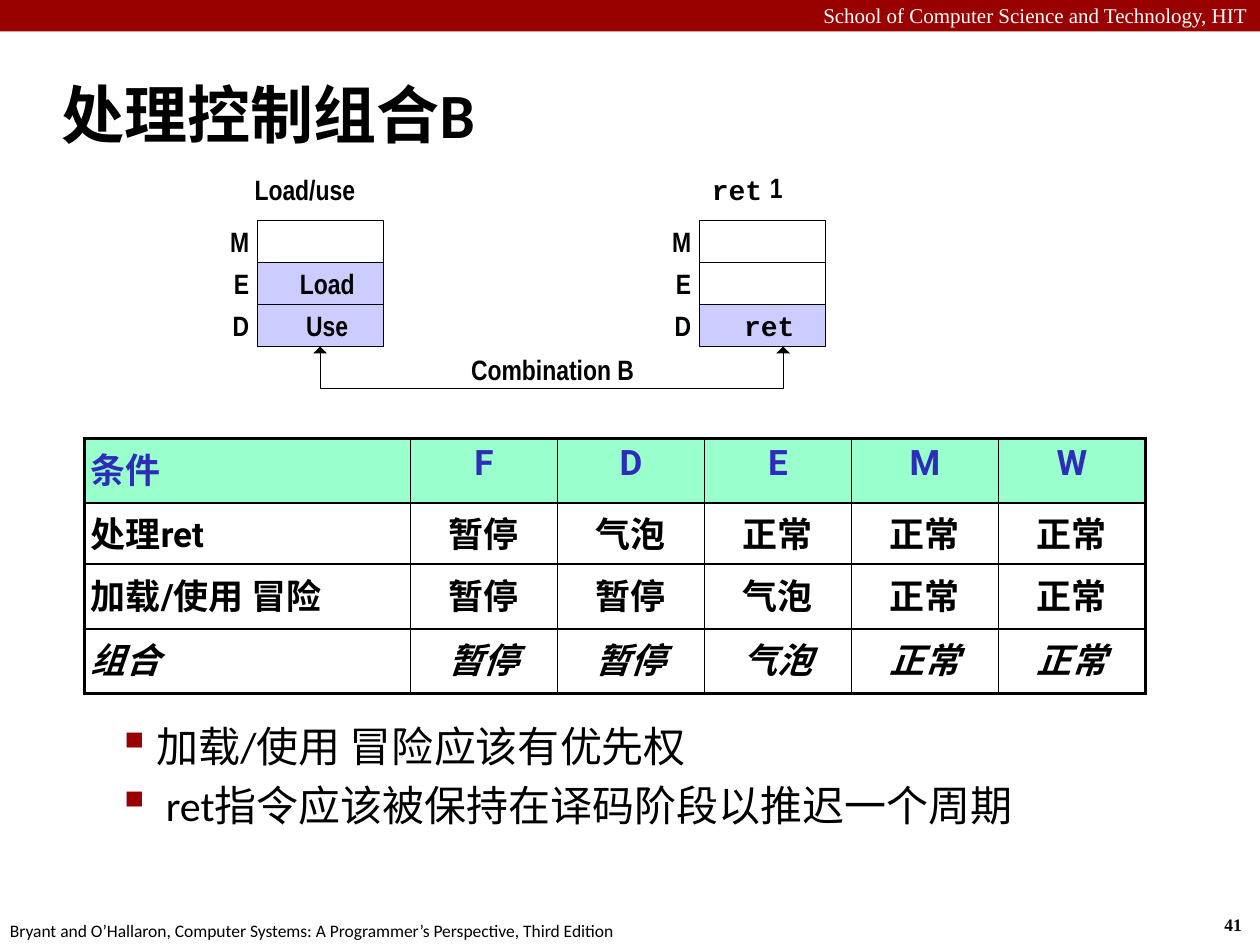
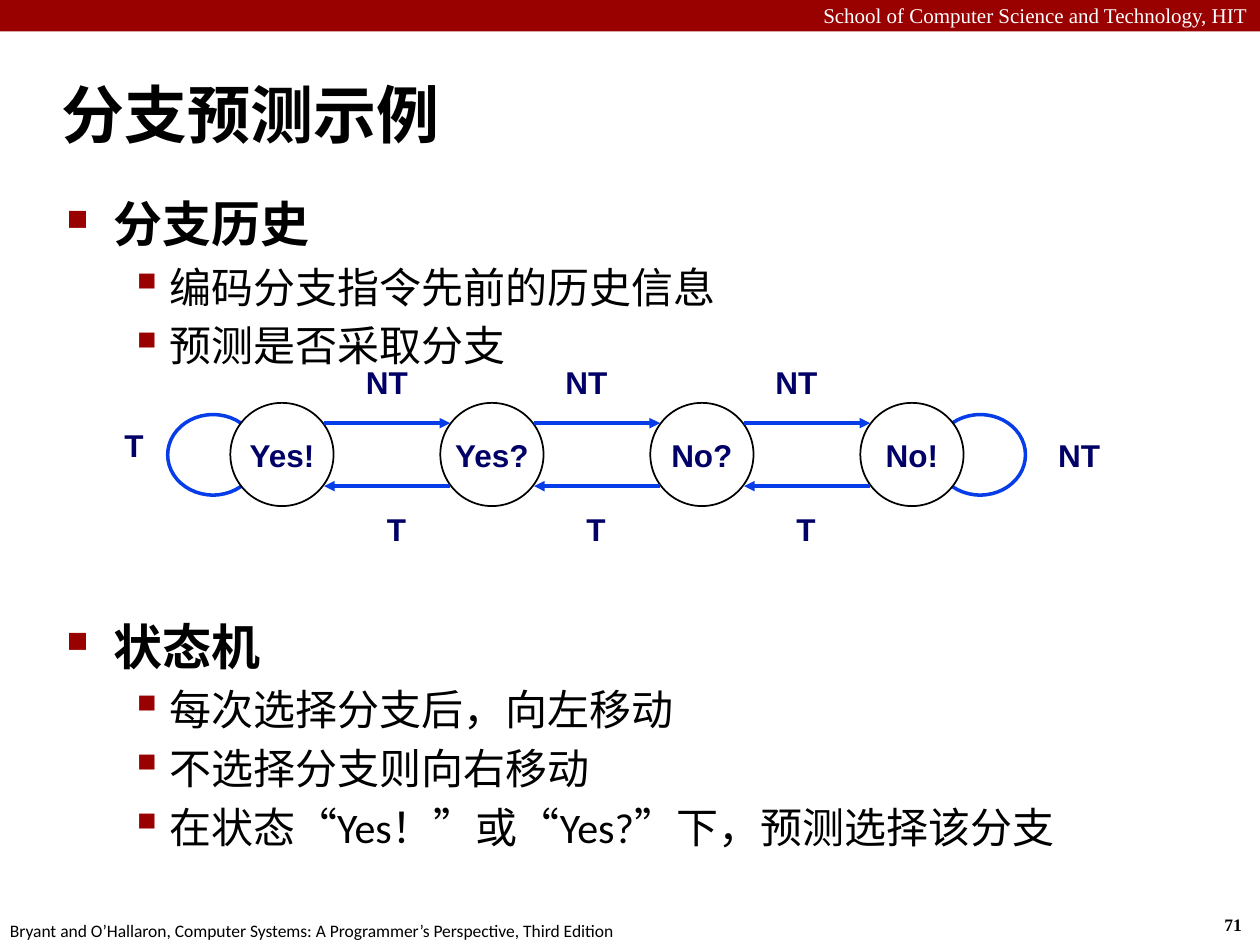
from lxml import etree
from pptx import Presentation
from pptx import util as u
from pptx.dml.color import RGBColor
from pptx.enum import shapes, text
from pptx.oxml import parse_xml
from pptx.oxml.ns import nsdecls, qn

BLACK = RGBColor(0x00, 0x00, 0x00)
WHITE = RGBColor(0xFF, 0xFF, 0xFF)
CRIMSON = RGBColor(0x99, 0x00, 0x00)
LAVENDER = RGBColor(0xCC, 0xCC, 0xFF)
MINT = RGBColor(0x99, 0xFF, 0xCC)
HEADER_BLUE = RGBColor(0x2D, 0x2D, 0xB9)
NAVY = RGBColor(0x00, 0x00, 0x66)
ARROW_BLUE = RGBColor(0x06, 0x3D, 0xE8)

LEFT, CENTER, RIGHT = text.PP_ALIGN.LEFT, text.PP_ALIGN.CENTER, text.PP_ALIGN.RIGHT
MIDDLE = text.MSO_ANCHOR.MIDDLE
SCHOOL = "School of Computer Science and Technology, HIT"
BOOK = "Bryant and O’Hallaron, Computer Systems: A Programmer’s Perspective, Third Edition"

# Bullet levels: character, size in percent, left margin, font size, bold
BULLETS = [("■", 60, 27, 28, True), ("▪", 110, 58.5, 24, False)]
HANGING = [27, 22.5]


class Deck:
    def __init__(self):
        self.presentation = Presentation()
        self.presentation.slide_width = u.Pt(720)
        self.presentation.slide_height = u.Pt(540)
        self.slide = None

    def new_slide(self, title, number):
        layout = self.presentation.slide_layouts[5]
        self.slide = self.presentation.slides.add_slide(layout)
        self.shape(shapes.MSO_SHAPE.RECTANGLE, 0, 0, 720, 18, fill=CRIMSON)
        self.label(SCHOOL, 0, -2, 720, 21.6, "Times New Roman", 12, WHITE, align=RIGHT)
        self.label(number, 692.6, 519, 26.6, 19.4, "Times New Roman", 10, bold=True)
        self.label(BOOK, -1.4, 522, 366, 19.4, "Calibri", 10)

        placeholder = self.slide.shapes.title
        placeholder.left, placeholder.top = u.Pt(28), u.Pt(34.6)
        placeholder.width, placeholder.height = u.Pt(692), u.Pt(60)
        frame = placeholder.text_frame
        frame.auto_size = text.MSO_AUTO_SIZE.NONE
        frame.vertical_anchor = MIDDLE
        self.add_words(frame.paragraphs[0], title, "Calibri", 36, BLACK, True)

    def add_words(self, paragraph, words, font, size, color, bold=False, italic=False,
                  align=LEFT, spacing=None):
        paragraph.alignment = align
        if spacing:
            paragraph.line_spacing = spacing
        run = paragraph.add_run()
        run.text = words
        run.font.name, run.font.size = font, u.Pt(size)
        run.font.bold, run.font.italic = bold, italic
        run.font.color.rgb = color

    def label(self, words, left, top, width, height, font, size, color=BLACK,
              bold=False, align=LEFT, inset=True, spacing=None):
        box = self.slide.shapes.add_textbox(
            u.Pt(left), u.Pt(top), u.Pt(width), u.Pt(height))
        frame = box.text_frame
        frame.word_wrap = False
        if not inset:
            self.set_margins(frame, 0)
        self.add_words(frame.paragraphs[0], words, font, size, color, bold,
                       align=align, spacing=spacing)

    def stage_label(self, words, left, top, width, align=CENTER, font="Arial Narrow"):
        self.label(words, left, top, width, 17.3, font, 16, bold=True,
                   align=align, inset=False, spacing=0.9)

    def branch_label(self, words, left, top):
        self.label(words, left, top, 25 if words == "T" else 39, 29,
                   "Arial", 18, NAVY, True)

    def set_margins(self, holder, margin):
        holder.margin_left = holder.margin_right = u.Pt(margin)
        holder.margin_top = holder.margin_bottom = u.Pt(margin)

    def paint(self, shape, fill, line, weight):
        shape.shadow.inherit = False
        if fill is None:
            shape.fill.background()
        else:
            shape.fill.solid()
            shape.fill.fore_color.rgb = fill
        if line is None:
            shape.line.fill.background()
        else:
            shape.line.color.rgb = line
            shape.line.width = u.Pt(weight)

    def shape(self, kind, left, top, width, height, fill=None, line=None, weight=1):
        shape = self.slide.shapes.add_shape(
            kind, u.Pt(left), u.Pt(top), u.Pt(width), u.Pt(height))
        self.paint(shape, fill, line, weight)
        return shape

    def shape_text(self, shape, words, font, size, color, shift=0):
        """Centre words in a shape, moved right by half of shift."""
        frame = shape.text_frame
        frame.word_wrap = False
        frame.vertical_anchor = MIDDLE
        self.set_margins(frame, 0)
        frame.margin_left = u.Pt(shift)
        self.add_words(frame.paragraphs[0], words, font, size, color, True, align=CENTER)

    def polyline(self, points, line, weight):
        points = [(u.Pt(x), u.Pt(y)) for x, y in points]
        builder = self.slide.shapes.build_freeform(*points[0])
        builder.add_line_segments(points[1:], close=False)
        self.paint(builder.convert_to_shape(), None, line, weight)

    def arrow(self, start, end, y):
        connector = self.slide.shapes.add_connector(
            shapes.MSO_CONNECTOR.STRAIGHT, u.Pt(start), u.Pt(y), u.Pt(end), u.Pt(y))
        connector.line.color.rgb = ARROW_BLUE
        connector.line.width = u.Pt(2)
        properties = connector._element.spPr
        line = properties.find(qn("a:ln"))
        etree.SubElement(line, qn("a:tailEnd"), type="triangle")
        etree.SubElement(properties, qn("a:effectLst"))

    def bullets(self, items, left, top, width, height):
        """Add (level, words) items as a bulleted list."""
        box = self.slide.shapes.add_textbox(
            u.Pt(left), u.Pt(top), u.Pt(width), u.Pt(height))
        frame = box.text_frame
        frame.word_wrap = True
        for index, (level, words) in enumerate(items):
            paragraph = frame.add_paragraph() if index else frame.paragraphs[0]
            character, percent, margin, size, bold = BULLETS[level]
            paragraph.level = level
            paragraph.space_before = u.Pt(0.2 * size)
            self.add_words(paragraph, words, "Calibri", size, BLACK, bold)
            properties = paragraph._p.get_or_add_pPr()
            properties.set("marL", str(u.Pt(margin)))
            properties.set("indent", str(-u.Pt(HANGING[level])))
            color = etree.SubElement(properties, qn("a:buClr"))
            etree.SubElement(color, qn("a:srgbClr"), val=str(CRIMSON))
            etree.SubElement(properties, qn("a:buSzPct"), val=str(percent * 1000))
            etree.SubElement(properties, qn("a:buChar"), char=character)

    def table(self, rows, left, top, widths, heights):
        table = self.slide.shapes.add_table(
            len(rows), len(widths), u.Pt(left), u.Pt(top),
            u.Pt(sum(widths)), u.Pt(sum(heights))).table
        table.first_row = table.horz_banding = False
        for column, width in zip(table.columns, widths):
            column.width = u.Pt(width)
        last_row, last_column = len(rows) - 1, len(widths) - 1
        for r, (row, height) in enumerate(zip(rows, heights)):
            table.rows[r].height = u.Pt(height)
            for c, words in enumerate(row):
                cell = table.cell(r, c)
                self.set_margins(cell, 3.6)
                self.add_words(cell.text_frame.paragraphs[0], words, "Roboto", 20,
                               BLACK if r else HEADER_BLUE, True, r == last_row,
                               CENTER if c else LEFT, 0.95)
                if r:
                    cell.fill.background()
                else:
                    cell.fill.solid()
                    cell.fill.fore_color.rgb = MINT
                self.borders(cell, L=c == 0, R=c == last_column,
                             T=r == 0, B=r == last_row)

    def borders(self, cell, **outer_sides):
        """Draw four borders, thick on the sides given as True."""
        properties = cell._tc.get_or_add_tcPr()
        for index, (side, outer) in enumerate(outer_sides.items()):
            weight = u.Pt(2.25 if outer else 1)
            properties.insert(index, parse_xml(
                f'<a:ln{side} {nsdecls("a")} w="{weight}"><a:solidFill>'
                f'<a:srgbClr val="{BLACK}"/></a:solidFill></a:ln{side}>'))

    def pipeline(self, left, contents):
        """Stack the M, E and D stages; a stage with contents is shaded."""
        for index, stage in enumerate("MED"):
            top = 126 + 24 * index
            words, font = contents.get(stage, (None, None))
            slot = self.shape(shapes.MSO_SHAPE.RECTANGLE, left, top, 72, 24,
                              LAVENDER if words else WHITE, BLACK, 0.75)
            if words:
                self.shape_text(slot, words, font, 16, BLACK, shift=8)
            self.stage_label(stage, left - 16, top + 4.6, 11.4, RIGHT)


def combination_slide(deck):
    deck.new_slide("处理控制组合B", "41")
    deck.bullets([(1, "加载/使用 冒险应该有优先权"),
                  (1, " ret指令应该被保持在译码阶段以推迟一个周期")],
                 23.8, 408.2, 662.4, 116.6)

    load_left, ret_left = 147, 399.6
    deck.pipeline(load_left, {"E": ("Load", "Arial Narrow"), "D": ("Use", "Arial Narrow")})
    deck.pipeline(ret_left, {"D": ("ret", "Courier New")})
    deck.stage_label("Load/use", 145.4, 100.8, 57.6)
    deck.stage_label("ret", 406.8, 100.8, 28.8, font="Courier New")
    deck.stage_label("1", 440, 99.4, 7)
    deck.stage_label("Combination B", 268.6, 203.8, 94.3)

    ends = (load_left + 36, ret_left + 48)
    deck.polyline([(ends[0], 201.6), (ends[0], 222), (ends[1], 222), (ends[1], 201.6)],
                  BLACK, 0.75)
    for x in ends:
        deck.shape(shapes.MSO_SHAPE.ISOSCELES_TRIANGLE, x - 4, 198, 8, 4, BLACK)

    deck.table([["条件", "F", "D", "E", "M", "W"],
                ["处理ret", "暂停", "气泡", "正常", "正常", "正常"],
                ["加载/使用 冒险", "暂停", "暂停", "气泡", "正常", "正常"],
                ["组合", "暂停", "暂停", "气泡", "正常", "正常"]],
               48.2, 250.4, [186.4] + [84] * 5, [37, 35, 37, 37])


def prediction_slide(deck):
    deck.new_slide("分支预测示例", "71")
    deck.bullets([(0, "分支历史"), (1, "编码分支指令先前的历史信息"),
                  (1, "预测是否采取分支")], 31, 107.3, 677, 115)
    deck.bullets([(0, "状态机"), (1, "每次选择分支后，向左移动"),
                  (1, "不选择分支则向右移动"),
                  (1, "在状态“Yes！”或“Yes?”下，预测选择该分支")],
                 31, 348.6, 677, 150)

    oval = shapes.MSO_SHAPE.OVAL
    for loop_left in (95.8, 534.2):
        deck.shape(oval, loop_left, 236.9, 51.8, 46, line=ARROW_BLUE, weight=2)
    first, step = 131.6, 120
    for index, state in enumerate(["Yes!", "Yes?", "No?", "No!"]):
        circle = deck.shape(oval, first + step * index, 230.2, 59, 59, WHITE, BLACK)
        deck.shape_text(circle, state, "Arial", 18, NAVY)
    for index, label_left in enumerate((214, 328, 448)):
        start = first + step * index + 53.6
        deck.arrow(start, start + 72, 241.8)
        deck.arrow(start + 72, start, 277.8)
        deck.branch_label("NT", label_left - 12, 204)
        deck.branch_label("T", label_left, 288)
    deck.branch_label("T", 64, 240)
    deck.branch_label("NT", 597.6, 245.6)


def main():
    deck = Deck()
    combination_slide(deck)
    prediction_slide(deck)
    deck.presentation.save("out.pptx")


if __name__ == "__main__":
    main()
